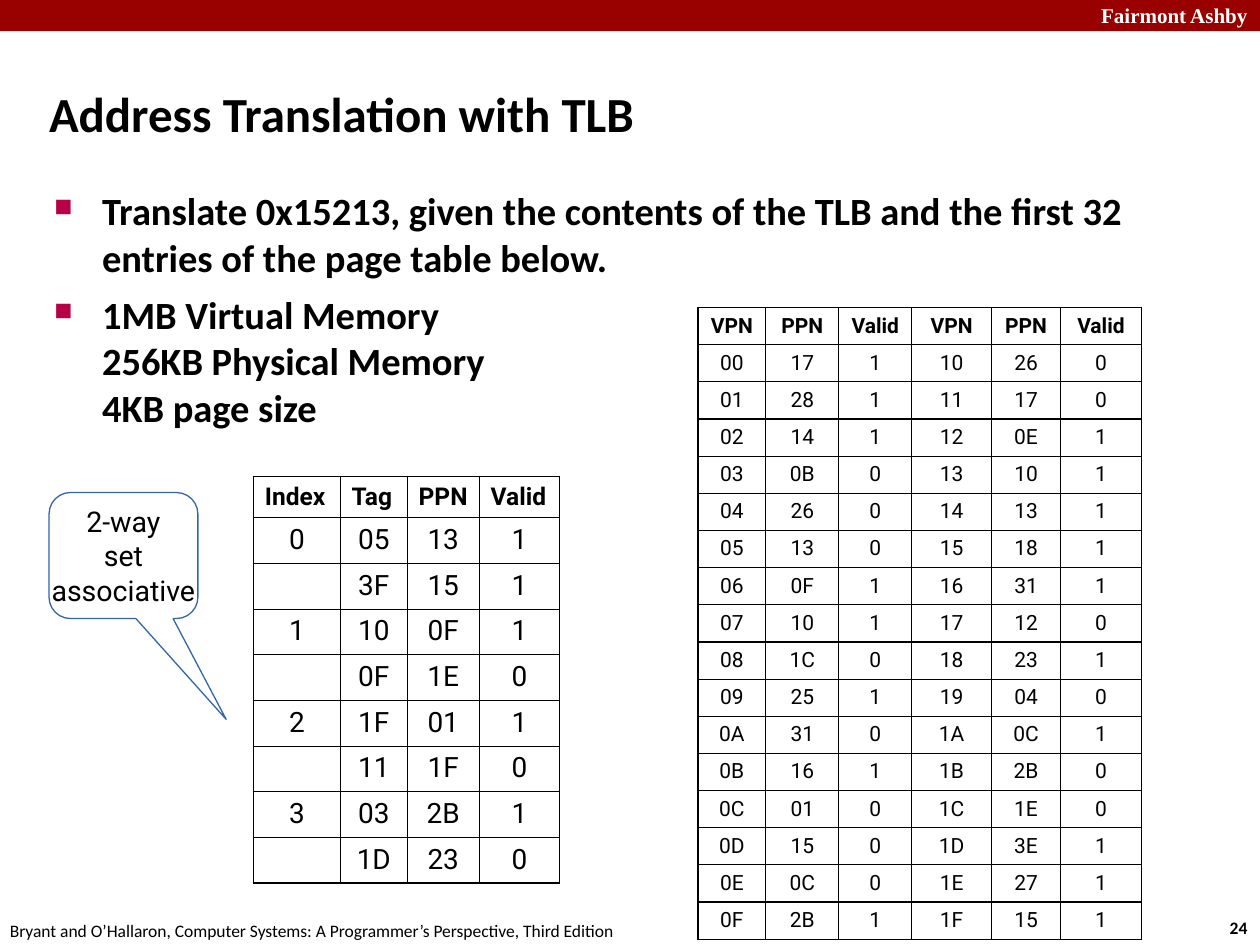
import dataclasses

import lxml.etree
import pptx
import pptx.dml.color
import pptx.enum.shapes
import pptx.enum.text
import pptx.oxml.ns
import pptx.util

Cm = pptx.util.Cm
Pt = pptx.util.Pt
qn = pptx.oxml.ns.qn
ALIGN = pptx.enum.text.PP_ALIGN
ANCHOR = pptx.enum.text.MSO_ANCHOR
SHAPES = pptx.enum.shapes.MSO_SHAPE


# Colours, fonts and type sizes
@dataclasses.dataclass(frozen=True)
class Theme:
    banner: str = "990000"
    bullet: str = "B80047"
    callout: str = "3465A4"
    black: str = "000000"
    white: str = "FFFFFF"
    main_font: str = "Calibri"
    table_font: str = "Roboto"
    brand_font: str = "Times New Roman"
    title_size: float = 28
    body_size: float = 22
    callout_size: float = 16.3
    tlb_size: float = 16
    tlb_header_size: float = 14
    page_table_size: float = 12
    brand_size: float = 12
    footer_size: float = 10


THEME = Theme()

# Table contents
TLB_HEADERS = ["Index", "Tag", "PPN", "Valid"]
TLB_ENTRIES = ["05 13 1", "3F 15 1", "10 0F 1", "0F 1E 0",
               "1F 01 1", "11 1F 0", "03 2B 1", "1D 23 0"]
PAGE_HEADERS = ["VPN", "PPN", "Valid"]
PAGE_PPNS = ("17 28 14 0B 26 13 0F 10 1C 25 31 16 01 15 0C 2B "
             "26 17 0E 10 13 18 31 12 23 04 0C 2B 1E 3E 27 15").split()
PAGE_VALID = "1110001101010001" + "0011111010100111"


def color(value):
    return pptx.dml.color.RGBColor.from_string(value)


def apply_format(target, values):
    for name, value in values.items():
        setattr(target, name, value)


def write_paragraph(para, text, font, size, bold=False, ink=THEME.black, **layout):
    """Fill a paragraph; a vertical tab in the text is a line break."""
    para.text = text
    apply_format(para, layout)
    for span in para.runs:
        apply_format(span.font, {"name": font, "size": Pt(size), "bold": bold})
        span.font.color.rgb = color(ink)
    if not text:
        end = lxml.etree.SubElement(para._p, qn("a:endParaRPr"))
        end.set("sz", str(round(size * 100)))


def write_lines(frame, lines, *style, **layout):
    for number, line in enumerate(lines):
        para = frame.add_paragraph() if number else frame.paragraphs[0]
        write_paragraph(para, line, *style, **layout)


def set_margins(target, horizontal, vertical):
    apply_format(target, {
        "margin_left": Cm(horizontal), "margin_right": Cm(horizontal),
        "margin_top": Cm(vertical), "margin_bottom": Cm(vertical)})


def add_text(page, place, lines, *style, margins=(0.25, 0.13), wrap=True,
             anchor=ANCHOR.TOP, **layout):
    box = page.shapes.add_textbox(*map(Cm, place))
    apply_format(box.text_frame, {"word_wrap": wrap, "vertical_anchor": anchor})
    set_margins(box.text_frame, *margins)
    write_lines(box.text_frame, lines, *style, **layout)
    return box


def add_bullet(para, indent):
    properties = para._p.get_or_add_pPr()
    distance = Cm(indent)
    properties.set("marL", str(distance))
    properties.set("indent", str(-distance))
    tint = lxml.etree.SubElement(properties, qn("a:buClr"))
    lxml.etree.SubElement(tint, qn("a:srgbClr"), val=THEME.bullet)
    lxml.etree.SubElement(properties, qn("a:buSzPct"), val="65000")
    lxml.etree.SubElement(properties, qn("a:buChar"), char="■")


def add_borders(cell):
    properties = cell._tc.get_or_add_tcPr()
    for side in ("lnL", "lnR", "lnT", "lnB"):
        line = lxml.etree.SubElement(properties, qn("a:" + side), w=str(Pt(0.75)))
        fill = lxml.etree.SubElement(line, qn("a:solidFill"))
        lxml.etree.SubElement(fill, qn("a:srgbClr"), val=THEME.black)


def add_grid(page, left, top, widths, heights, rows, header_size, body_size,
             header_align=ALIGN.CENTER):
    frame = page.shapes.add_table(len(rows), len(widths), Cm(left), Cm(top),
                                  Cm(sum(widths)), Cm(sum(heights)))
    table = frame.table
    apply_format(table, {"first_row": False, "horz_banding": False})
    for column, width in zip(table.columns, widths):
        column.width = Cm(width)
    for number, (row, height, texts) in enumerate(zip(table.rows, heights, rows)):
        row.height = Cm(height)
        header = number == 0
        for cell, text in zip(row.cells, texts):
            set_margins(cell, 0.23, 0.12)
            add_borders(cell)
            cell.fill.solid()
            cell.fill.fore_color.rgb = color(THEME.white)
            write_paragraph(cell.text_frame.paragraphs[0], text, THEME.table_font,
                            header_size if header else body_size, header,
                            alignment=header_align if header else ALIGN.CENTER)


def add_banner(page):
    banner = page.shapes.add_shape(SHAPES.RECTANGLE, 0, 0, Cm(25.4), Cm(0.63))
    banner.shadow.inherit = False
    banner.fill.solid()
    banner.fill.fore_color.rgb = color(THEME.banner)
    banner.line.fill.background()
    add_text(page, (21.95, -0.08, 3.63, 0.76), ["Fairmont Ashby"],
             THEME.brand_font, THEME.brand_size, True, THEME.white)


def add_callout(page, lines):
    callout = page.shapes.add_shape(SHAPES.ROUNDED_RECTANGULAR_CALLOUT,
                                    Cm(0.99), Cm(9.93), Cm(3), Cm(2.54))
    callout.shadow.inherit = False
    callout.fill.background()
    callout.line.color.rgb = color(THEME.callout)
    callout.line.width = Pt(0)
    for number, value in enumerate((0.69, 1.3, 0.17)):
        callout.adjustments[number] = value
    apply_format(callout.text_frame, {"word_wrap": False,
                                      "vertical_anchor": ANCHOR.MIDDLE})
    set_margins(callout.text_frame, 0.23, 0.1)
    write_lines(callout.text_frame, lines, THEME.table_font, THEME.callout_size,
                alignment=ALIGN.CENTER)


def tlb_rows():
    # Two entries share each set index
    entries = [["" if number % 2 else str(number // 2), *entry.split()]
               for number, entry in enumerate(TLB_ENTRIES)]
    return [TLB_HEADERS, *entries]


def page_table_rows():
    # The 32 entries run down two halves side by side
    entries = [[f"{number:02X}", ppn, valid] for number, (ppn, valid)
               in enumerate(zip(PAGE_PPNS, PAGE_VALID))]
    half = len(entries) // 2
    return [PAGE_HEADERS * 2] + [a + b for a, b in zip(entries[:half], entries[half:])]


def main():
    deck = pptx.Presentation()
    apply_format(deck, {"slide_width": Cm(25.4), "slide_height": Cm(19.05)})
    page = deck.slides.add_slide(deck.slide_layouts[6])

    # Banner and footer
    add_banner(page)
    add_text(page, (24.54, 18.36, 0.94, 0.69), ["24"], THEME.main_font,
             THEME.footer_size, True, wrap=False)
    add_text(page, (-0.05, 18.42, 12.9, 0.69),
             ["Bryant and O’Hallaron, Computer Systems: "
              "A Programmer’s Perspective, Third Edition"],
             THEME.main_font, THEME.footer_size, wrap=False)

    # Title and bullets
    add_text(page, (0.99, 1.68, 21.08, 1.19), ["Address Translation with TLB"],
             THEME.main_font, THEME.title_size, True,
             margins=(0, 0), anchor=ANCHOR.MIDDLE)
    body = add_text(page, (1.09, 3.78, 21.95, 13.82),
                    ["Translate 0x15213, given the contents of the TLB and the "
                     "first 32 entries of the page table below.",
                     "1MB Virtual Memory\v256KB Physical Memory\v4KB page size"],
                    THEME.main_font, THEME.body_size, True,
                    margins=(0, 0), space_after=Pt(6.5))
    for para in body.text_frame.paragraphs:
        add_bullet(para, 0.97)

    # Tables and callout
    add_grid(page, 5.11, 9.6, [1.75, 1.35, 1.45, 1.62], [0.84] + [0.92] * 8,
             tlb_rows(), THEME.tlb_header_size, THEME.tlb_size, ALIGN.LEFT)
    add_grid(page, 14.07, 6.2, [1.37, 1.47, 1.47, 1.61, 1.39, 1.63], [0.73] * 17,
             page_table_rows(), THEME.page_table_size, THEME.page_table_size)
    add_callout(page, ["2-way", "set", "associative"])

    deck.save("out.pptx")


main()
